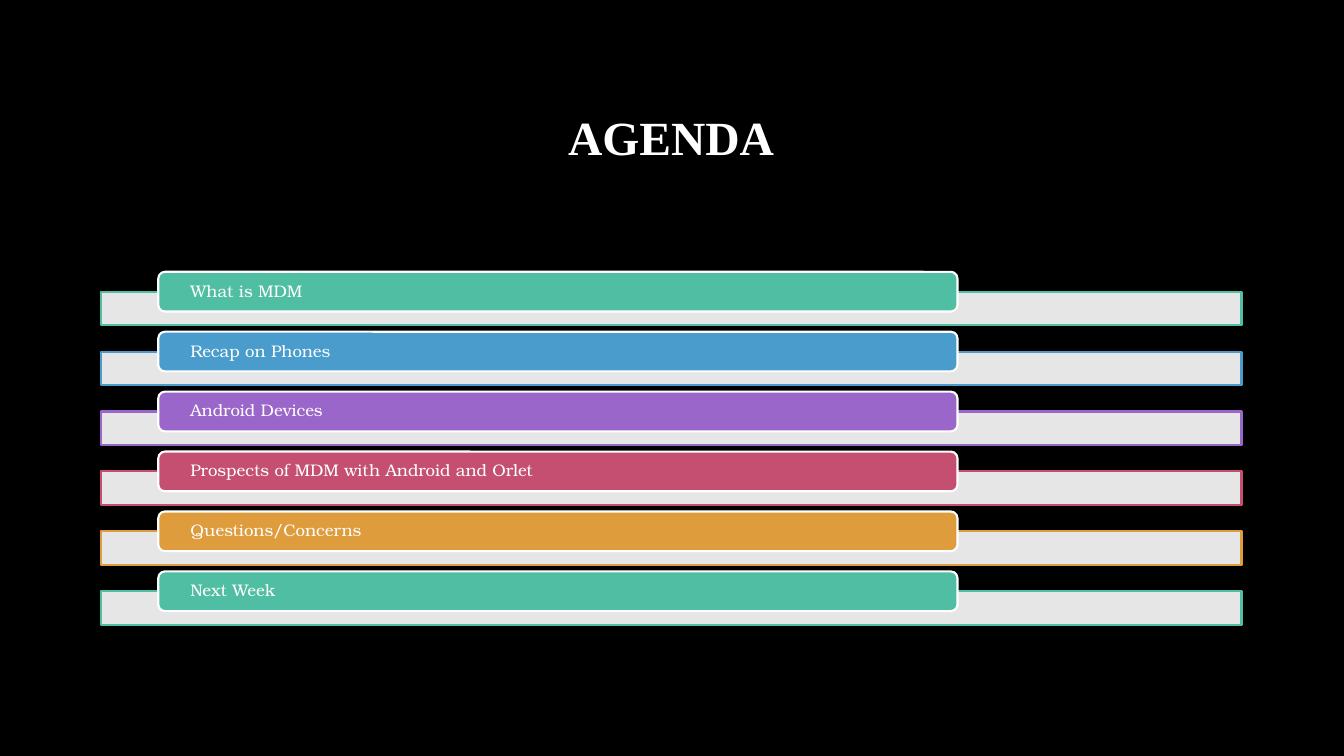
from dataclasses import dataclass

from lxml.etree import SubElement
from pptx import Presentation
from pptx.dml.color import RGBColor as Rgb
from pptx.enum.shapes import MSO_SHAPE as Shape
from pptx.enum.text import MSO_ANCHOR as Anchor, PP_ALIGN as Align
from pptx.oxml.ns import qn
from pptx.util import Cm, Pt


@dataclass(frozen=True)
class Theme:
    background: str = "000000"
    light: str = "FFFFFF"
    accents: tuple = ("50BEA3", "4A9CCC", "9A66CA", "C54F71", "DE9C3C")
    bar_opacity: int = 90
    outline: float = 1.5
    title_font: str = "Times New Roman"
    title_size: int = 34
    topic_font: str = "TeX Gyre Bonum"
    topic_size: int = 12


TOPICS = (
    "What is MDM",
    "Recap on Phones",
    "Android Devices",
    "Prospects of MDM with Android and Orlet",
    "Questions/Concerns",
    "Next Week",
)
MARGIN, CONTENT_WIDTH = 2.54, 28.75
TAB_LEFT, TAB_WIDTH, TAB_HEIGHT = 3.99, 20.14, 1.0
FIRST_TAB, PITCH = 6.85, 1.51
BAR_DROP, BAR_HEIGHT = 0.5, 0.84


def write(frame, text, *, font, size, color, bold=False, align=Align.LEFT, inset=0.0):
    """Fill a text frame with one vertically centred paragraph; inset is in cm."""
    frame.word_wrap = True
    frame.vertical_anchor = Anchor.MIDDLE
    frame.margin_left = frame.margin_right = Cm(inset)
    frame.margin_top = frame.margin_bottom = 0
    paragraph = frame.paragraphs[0]
    paragraph.alignment = align
    paragraph.line_spacing = 0.9
    run = paragraph.add_run()
    run.text = text
    run.font.name = font
    run.font.size = Pt(size)
    run.font.bold = bold
    run.font.color.rgb = Rgb.from_string(color)


class AgendaSlide:
    """Draws agenda elements on one slide, with lengths in cm."""

    def __init__(self, slide, theme):
        self.slide, self.theme = slide, theme
        backdrop = slide.background.fill
        backdrop.solid()
        backdrop.fore_color.rgb = Rgb.from_string(theme.background)

    def title(self, text, left, top, width, height):
        box = self.slide.shapes.add_textbox(Cm(left), Cm(top), Cm(width), Cm(height))
        write(box.text_frame, text, font=self.theme.title_font,
              size=self.theme.title_size, color=self.theme.light,
              bold=True, align=Align.CENTER)

    def panel(self, kind, left, top, width, height, fill, line, opacity=100):
        panel = self.slide.shapes.add_shape(kind, Cm(left), Cm(top), Cm(width), Cm(height))
        panel.shadow.inherit = False
        panel.fill.solid()
        panel.fill.fore_color.rgb = Rgb.from_string(fill)
        panel.line.color.rgb = Rgb.from_string(line)
        panel.line.width = Pt(self.theme.outline)
        if opacity < 100:
            tint = panel.fill._xPr.find(qn("a:solidFill"))[0]
            SubElement(tint, qn("a:alpha"), val=str(opacity * 1000))
        return panel

    def topic(self, text, top, accent):
        """Draw a pale bar with a coloured tab in front of it."""
        theme = self.theme
        self.panel(Shape.RECTANGLE, MARGIN, top + BAR_DROP, CONTENT_WIDTH, BAR_HEIGHT,
                   theme.light, accent, theme.bar_opacity)
        tab = self.panel(Shape.ROUNDED_RECTANGLE, TAB_LEFT, top, TAB_WIDTH, TAB_HEIGHT,
                         accent, theme.light)
        write(tab.text_frame, text, font=theme.topic_font, size=theme.topic_size,
              color=theme.light, inset=0.76)


def main():
    deck = Presentation()
    deck.slide_width, deck.slide_height = Cm(33.87), Cm(19.05)
    theme = Theme()
    agenda = AgendaSlide(deck.slides.add_slide(deck.slide_layouts[6]), theme)
    agenda.title("AGENDA", MARGIN, 1.7, CONTENT_WIDTH, 3.68)
    for index, topic in enumerate(TOPICS):
        accent = theme.accents[index % len(theme.accents)]
        agenda.topic(topic, FIRST_TAB + index * PITCH, accent)
    deck.save("out.pptx")


if __name__ == "__main__":
    main()
